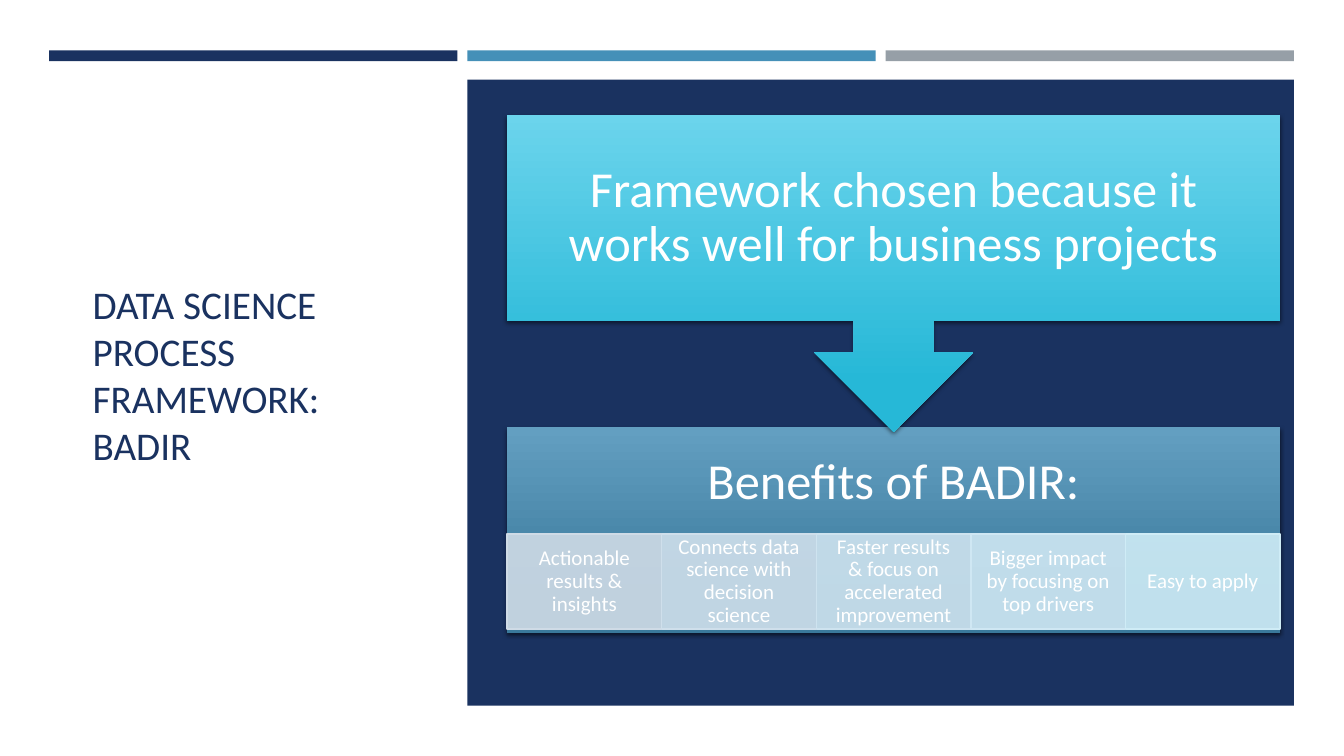
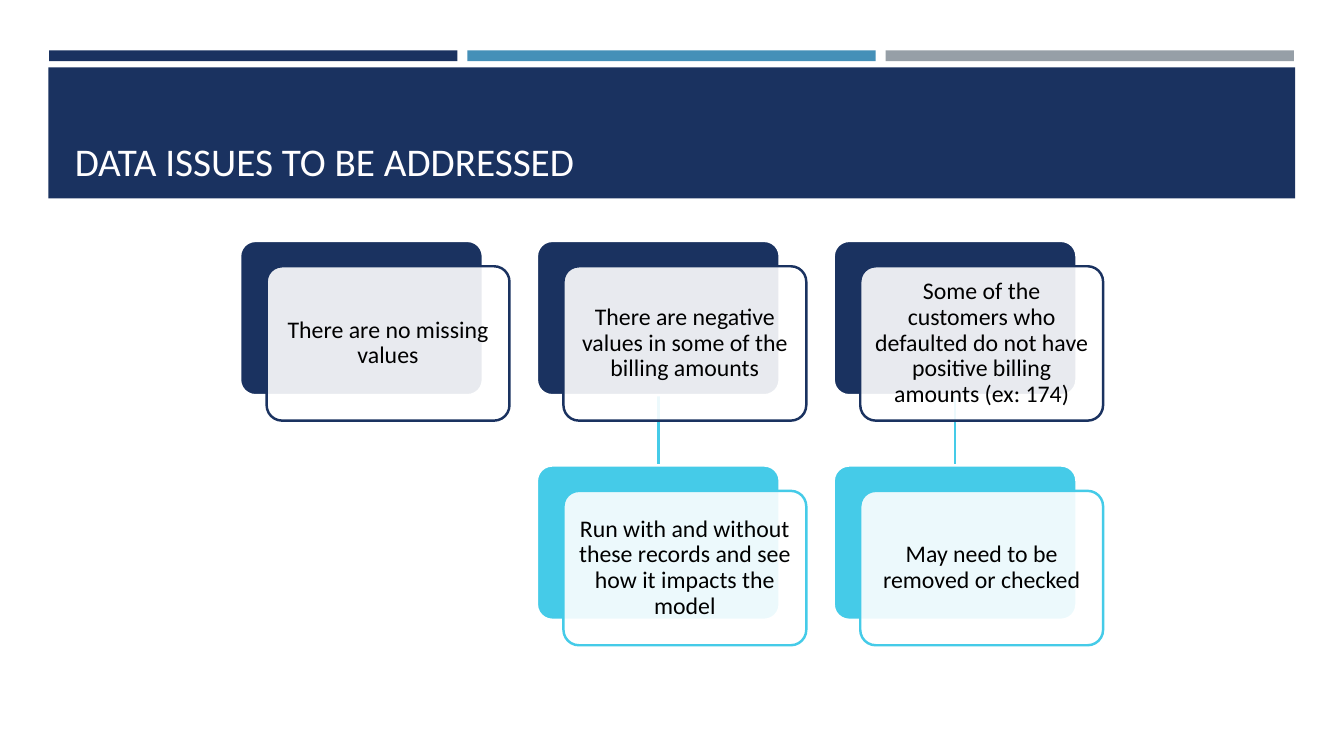
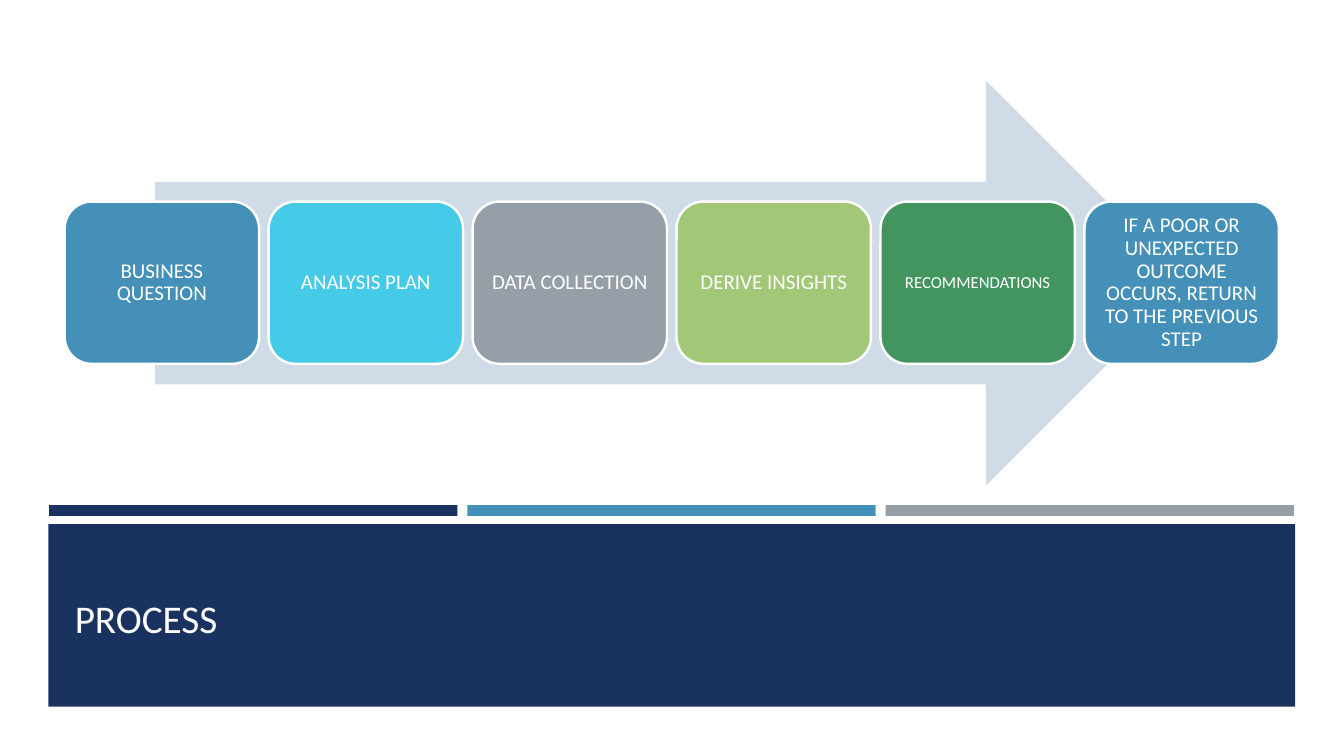
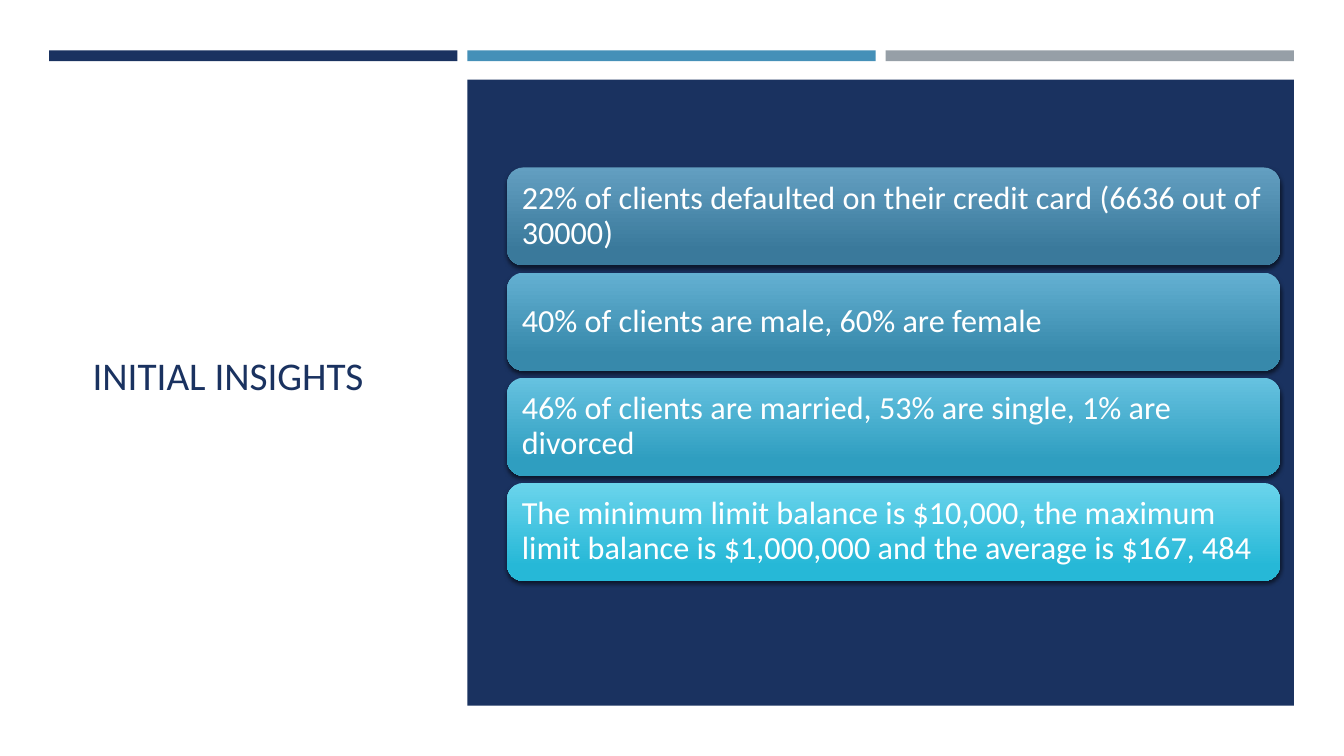
from lxml.etree import SubElement
from pptx import Presentation
from pptx.dml.color import RGBColor
from pptx.enum.shapes import MSO_CONNECTOR as Link, MSO_SHAPE as Shape
from pptx.enum.text import MSO_ANCHOR as Anchor, MSO_AUTO_SIZE as AutoSize, PP_ALIGN as Align
from pptx.oxml.ns import qn
from pptx.util import Cm, Pt


class Theme:
    font = "Calibri"
    navy, blue, gray = "1A3260", "4590B8", "969FA7"
    cyan, lime, green = "45CBE8", "A2C777", "42955F"
    pale, white, black, title_white = "CFDBE6", "FFFFFF", "000000", "FFFEFF"
    steel_fade = ("639FC1", "3A799B")
    lake_fade = ("63B0D2", "3789AB")
    sky_fade = ("66C2E0", "2F9EC0")
    cyan_fade = ("6BD4EC", "26B8D7")
    benefit_tints = ("CFDBE6", "CFDFEB", "CEE3EF", "CFE7F3", "CFECF6")
    title_size, headline, insight, issue, label, small = 28, 36, 23, 17, 15, 12
    outline = 1.75


def draw(page, kind, place, fill, line=None, line_width=Theme.outline, opacity=100, text="",
         size=Theme.label, color=Theme.white, align=Align.CENTER, insets=(0, 0, 0, 0)):
    shape = page.shapes.add_shape(kind, *map(Cm, place))
    shape.shadow.inherit = False
    properties = shape._element.spPr
    if isinstance(fill, tuple):
        shape.fill.gradient()
        shape.fill.gradient_angle = 270
        for stop, shade, position in zip(shape.fill.gradient_stops, fill, (0, 0.84)):
            stop.color.rgb = RGBColor.from_string(shade)
            stop.position = position
        shadow = SubElement(properties.find(qn("a:effectLst")), qn("a:outerShdw"),
                            blurRad="38100", dist="25400", dir="5400000", rotWithShape="0")
        shadow_color = SubElement(shadow, qn("a:srgbClr"), val=Theme.black)
        SubElement(shadow_color, qn("a:alpha"), val="55000")
    else:
        shape.fill.solid()
        shape.fill.fore_color.rgb = RGBColor.from_string(fill)
        if opacity < 100:
            fill_color = properties.find(qn("a:solidFill")).find(qn("a:srgbClr"))
            SubElement(fill_color, qn("a:alpha"), val=str(opacity * 1000))
    if line:
        shape.line.color.rgb = RGBColor.from_string(line)
        shape.line.width = Pt(line_width)
    else:
        shape.line.fill.background()
    if text:
        frame = shape.text_frame
        frame.word_wrap = True
        frame.vertical_anchor = Anchor.MIDDLE
        frame.margin_left, frame.margin_top, frame.margin_right, frame.margin_bottom = map(Cm, insets)
        para = frame.paragraphs[0]
        para.text = text
        para.alignment = align
        para.line_spacing = 0.9
        para.font.name = Theme.font
        para.font.size = Pt(size)
        para.font.color.rgb = RGBColor.from_string(color)
    return shape


def open_page(deck, title, title_place, panel, bars_top=1.27, side_title=False):
    page = deck.slides.add_slide(deck.slide_layouts[5])
    for column, color in enumerate((Theme.navy, Theme.blue, Theme.gray)):
        draw(page, Shape.RECTANGLE, (1.24 + column * 10.54, bars_top, 10.29, 0.27), color)
    draw(page, Shape.RECTANGLE, panel, Theme.navy)
    box = page.shapes.title
    page.shapes._spTree.append(box._element)
    box.left, box.top, box.width, box.height = map(Cm, title_place)
    frame = box.text_frame
    frame.auto_size = AutoSize.NONE
    frame.word_wrap = True
    frame.vertical_anchor = Anchor.MIDDLE if side_title else Anchor.BOTTOM
    para = frame.paragraphs[0]
    para.text = title
    para.alignment = Align.LEFT
    para.font.name = Theme.font
    para.font.size = Pt(Theme.title_size)
    para.font.color.rgb = RGBColor.from_string(Theme.navy if side_title else Theme.title_white)
    return page


deck = Presentation()
deck.slide_width, deck.slide_height = Cm(33.87), Cm(19.05)
side_title_place = (2.08, 2.9, 8.48, 13.08)
side_panel = (11.78, 2.01, 20.83, 15.77)
card_left, card_width = 12.78, 19.48

page = open_page(deck, "DATA SCIENCE PROCESS FRAMEWORK: BADIR", side_title_place, side_panel,
                 side_title=True)
draw(page, Shape.RECTANGLE, (card_left, 10.77, card_width, 5.18), Theme.steel_fade,
     text="Benefits of BADIR:", size=Theme.headline, insets=(0.71, 0.71, 0.71, 3.1))
benefits = (
    "Actionable results & insights",
    "Connects data science with decision science",
    "Faster results & focus on accelerated improvement",
    "Bigger impact by focusing on top drivers",
    "Easy to apply",
)
benefit_width = card_width / len(benefits)
for column, (benefit, tint) in enumerate(zip(benefits, Theme.benefit_tints)):
    draw(page, Shape.RECTANGLE, (card_left + column * benefit_width, 13.46, benefit_width, 2.39),
         tint, line=tint, line_width=1, opacity=90, text=benefit, insets=(0.3, 0.05, 0.3, 0.05))
draw(page, Shape.DOWN_ARROW_CALLOUT, (card_left, 2.9, card_width, 7.98), Theme.cyan_fade,
     text="Framework chosen because it works well for business projects",
     size=Theme.headline, insets=(0.71,) * 4)

page = open_page(deck, "DATA ISSUES TO BE ADDRESSED", (1.63, 1.96, 30.63, 2.82),
                 (1.22, 1.7, 31.42, 3.3))
issues = (
    ("There are no missing values",),
    ("There are negative values in some of the billing amounts",
     "Run with and without these records and see how it impacts the model"),
    ("Some of the customers who defaulted do not have positive billing amounts (ex: 174)",
     "May need to be removed or checked"),
)
issue_width, issue_height, row_pitch = 6.12, 3.89, 5.66
for column, steps in enumerate(issues):
    left, first_top = 6.05 + column * 7.48, 6.07
    if len(steps) > 1:
        middle = Cm(left + issue_width / 2)
        link = page.shapes.add_connector(Link.STRAIGHT, middle, Cm(first_top + issue_height),
                                         middle, Cm(first_top + row_pitch))
        link.line.color.rgb = RGBColor.from_string(Theme.cyan)
        link.line.width = Pt(Theme.outline)
        SubElement(link._element.spPr, qn("a:effectLst"))
    for row, (step, color) in enumerate(zip(steps, (Theme.navy, Theme.cyan))):
        top = first_top + row * row_pitch
        back = draw(page, Shape.ROUNDED_RECTANGLE, (left, top, issue_width, issue_height),
                    color, line=Theme.white)
        front = draw(page, Shape.ROUNDED_RECTANGLE,
                     (left + 0.67, top + 0.64, issue_width, issue_height),
                     Theme.white, line=color, opacity=90, text=step, size=Theme.issue,
                     color=Theme.black, insets=(0.18,) * 4)
        back.adjustments[0] = front.adjustments[0] = 0.1

page = open_page(deck, "PROCESS", (1.63, 13.46, 30.63, 2.82), (1.22, 13.21, 31.42, 4.6),
                 bars_top=12.73)
draw(page, Shape.RIGHT_ARROW, (3.91, 2.03, 26.04, 10.21), Theme.pale)
stages = (
    ("BUSINESS QUESTION", Theme.blue, Theme.label),
    ("ANALYSIS PLAN", Theme.cyan, Theme.label),
    ("DATA COLLECTION", Theme.gray, Theme.label),
    ("DERIVE INSIGHTS", Theme.lime, Theme.label),
    ("RECOMMENDATIONS", Theme.green, Theme.small),
    ("IF A POOR OR UNEXPECTED OUTCOME OCCURS, RETURN TO THE PREVIOUS STEP",
     Theme.blue, Theme.label),
)
for column, (stage, color, size) in enumerate(stages):
    draw(page, Shape.ROUNDED_RECTANGLE, (1.63 + column * 5.14, 5.08, 4.9, 4.09), color,
         line=Theme.white, text=stage, size=size, insets=(0.15,) * 4)

page = open_page(deck, "INITIAL INSIGHTS", side_title_place, side_panel, side_title=True)
insights = (
    ("22% of clients defaulted on their credit card (6636 out of 30000)", Theme.steel_fade),
    ("40% of clients are male, 60% are female", Theme.lake_fade),
    ("46% of clients are married, 53% are single, 1% are divorced", Theme.sky_fade),
    ("The minimum limit balance is $10,000, the maximum limit balance is $1,000,000 "
     "and the average is $167, 484", Theme.cyan_fade),
)
for row, (insight, fade) in enumerate(insights):
    draw(page, Shape.ROUNDED_RECTANGLE, (card_left, 4.22 + row * 2.65, card_width, 2.47), fade,
         text=insight, size=Theme.insight, align=Align.LEFT, insets=(0.25,) * 4)

deck.save("out.pptx")
